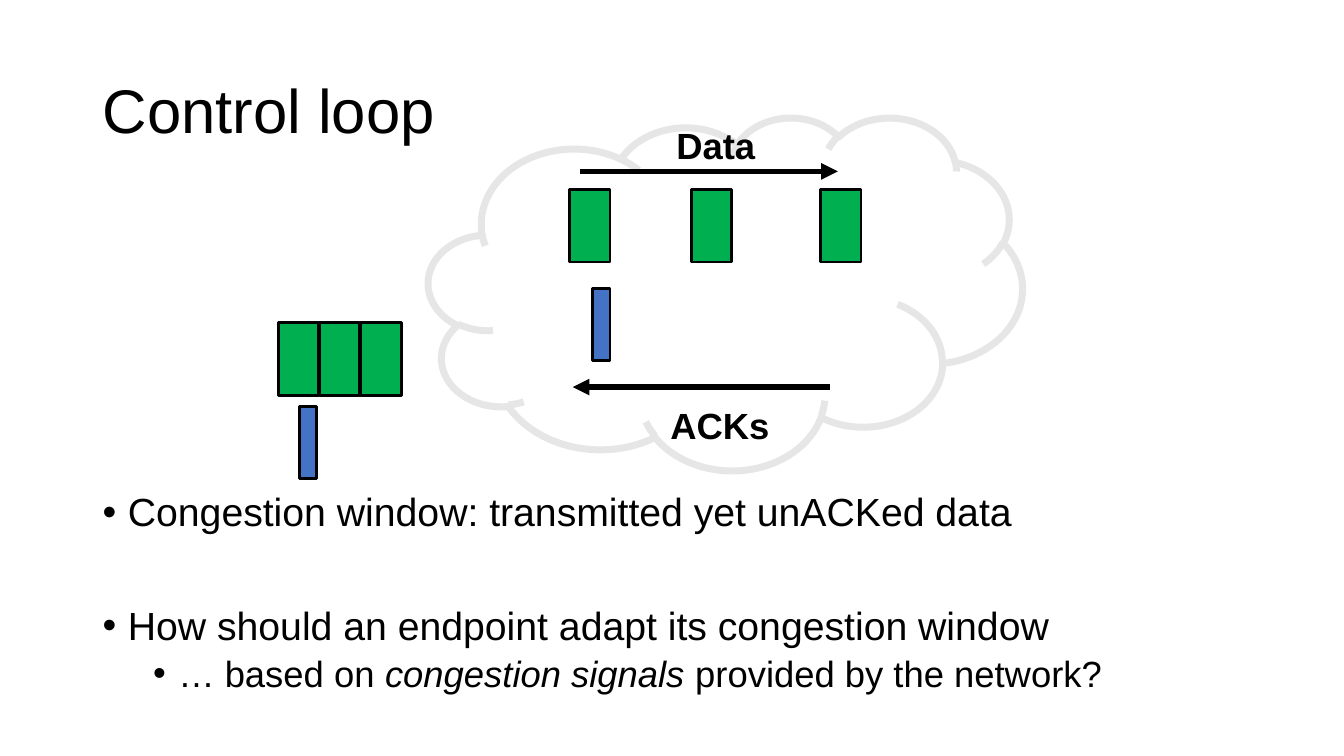
from dataclasses import dataclass

from lxml.etree import SubElement
from pptx import Presentation
from pptx.dml.color import RGBColor
from pptx.enum.shapes import MSO_CONNECTOR, MSO_SHAPE
from pptx.enum.text import MSO_ANCHOR, PP_ALIGN
from pptx.oxml.ns import qn
from pptx.shapes.autoshape import Shape
from pptx.slide import Slide
from pptx.util import Inches, Pt

BLACK = RGBColor(0x00, 0x00, 0x00)
CLOUD_GREY = RGBColor(0xE7, 0xE6, 0xE6)
DATA_GREEN = RGBColor(0x00, 0xB0, 0x50)
ACK_BLUE = RGBColor(0x44, 0x72, 0xC4)
FONT = "Arial"
PACKET_HEIGHT = 0.72


@dataclass(frozen=True)
class Packet:
    left: float
    top: float
    width: float
    color: RGBColor


@dataclass(frozen=True)
class Flow:
    label: str
    label_left: float
    label_top: float
    label_width: float
    start: float
    end: float
    y: float


@dataclass(frozen=True)
class Bullet:
    runs: tuple[tuple[str, bool], ...]  # text, italic
    size: int
    indent: float
    space_before: int


# Data packets and ACKs, first those in the network, then those at the sender
PACKETS = (
    *(Packet(left, 1.88, 0.4, DATA_GREEN) for left in (5.65, 6.86, 8.14)),
    *(Packet(left, 3.2, 0.4, DATA_GREEN) for left in (3.58, 3.17, 2.76)),
    Packet(2.97, 4.03, 0.17, ACK_BLUE),
    Packet(5.88, 2.86, 0.17, ACK_BLUE),
)
FLOWS = (
    Flow("Data", 5.76, 1.17, 2.68, 5.75, 8.31, 1.7),
    Flow("ACKs", 5.34, 3.95, 3.6, 8.23, 5.68, 3.84),
)
BULLETS = (
    Bullet((("Congestion window: transmitted yet unACKed data", False),), 28, 0.25, 0),
    Bullet((("How should an endpoint adapt its congestion window", False),), 28, 0.25, 51),
    Bullet((("… based on ", False), ("congestion signals ", True),
            ("provided by the network?", False)), 26, 0.75, 5),
)


def add_text(slide: Slide, left: float, top: float, width: float, height: float) -> Shape:
    box = slide.shapes.add_textbox(Inches(left), Inches(top), Inches(width), Inches(height))
    box.text_frame.word_wrap = True
    return box


def set_font(paragraph, size: int, bold: bool = False) -> None:
    font = paragraph.font
    font.name, font.size, font.bold = FONT, Pt(size), bold
    font.color.rgb = BLACK


def add_title(slide: Slide, text: str) -> None:
    frame = add_text(slide, 0.92, 0.4, 11.5, 1.45).text_frame
    frame.vertical_anchor = MSO_ANCHOR.MIDDLE
    title = frame.paragraphs[0]
    title.text = text
    title.line_spacing = 0.9
    set_font(title, 44)


def add_cloud(slide: Slide) -> None:
    cloud = slide.shapes.add_shape(
        MSO_SHAPE.CLOUD, Inches(4.25), Inches(1.16), Inches(5.89), Inches(3.5))
    cloud.shadow.inherit = False
    cloud.fill.background()
    cloud.line.color.rgb = CLOUD_GREY
    cloud.line.width = Pt(5)


def add_packet(slide: Slide, packet: Packet) -> None:
    block = slide.shapes.add_shape(
        MSO_SHAPE.RECTANGLE, Inches(packet.left), Inches(packet.top),
        Inches(packet.width), Inches(PACKET_HEIGHT))
    block.shadow.inherit = False
    block.fill.solid()
    block.fill.fore_color.rgb = packet.color
    block.line.color.rgb = BLACK
    block.line.width = Pt(2)


def add_flow(slide: Slide, flow: Flow) -> None:
    label = add_text(slide, flow.label_left, flow.label_top,
                     flow.label_width, 0.54).text_frame.paragraphs[0]
    label.text = flow.label
    label.alignment = PP_ALIGN.CENTER
    set_font(label, 26, bold=True)

    arrow = slide.shapes.add_connector(
        MSO_CONNECTOR.STRAIGHT, Inches(flow.start), Inches(flow.y),
        Inches(flow.end), Inches(flow.y))
    arrow.line.color.rgb = BLACK
    arrow.line.width = Pt(4)
    SubElement(arrow.line._get_or_add_ln(), qn("a:tailEnd"), type="triangle")
    SubElement(arrow._element.spPr, qn("a:effectLst"))


def add_bullets(slide: Slide, bullets: tuple[Bullet, ...]) -> None:
    frame = add_text(slide, 0.92, 4.84, 11.5, 2.45).text_frame
    for index, bullet in enumerate(bullets):
        paragraph = frame.add_paragraph() if index else frame.paragraphs[0]
        paragraph.line_spacing = 0.9
        paragraph.space_before = Pt(bullet.space_before)
        properties = paragraph._p.get_or_add_pPr()
        properties.set("marL", str(Inches(bullet.indent)))
        properties.set("indent", str(-Inches(0.25)))
        SubElement(properties, qn("a:buFont"), typeface=FONT)
        SubElement(properties, qn("a:buChar"), char="•")
        set_font(paragraph, bullet.size)
        for text, italic in bullet.runs:
            run = paragraph.add_run()
            run.text = text
            if italic:
                run.font.italic = True


def main() -> None:
    presentation = Presentation()
    presentation.slide_width = Inches(13.33)
    presentation.slide_height = Inches(7.5)
    slide = presentation.slides.add_slide(presentation.slide_layouts[6])

    # Title and network
    add_title(slide, "Control loop")
    add_cloud(slide)

    # Traffic between sender and network
    for packet in PACKETS:
        add_packet(slide, packet)
    for flow in FLOWS:
        add_flow(slide, flow)

    # Questions on the congestion window
    add_bullets(slide, BULLETS)
    presentation.save("out.pptx")


if __name__ == "__main__":
    main()
